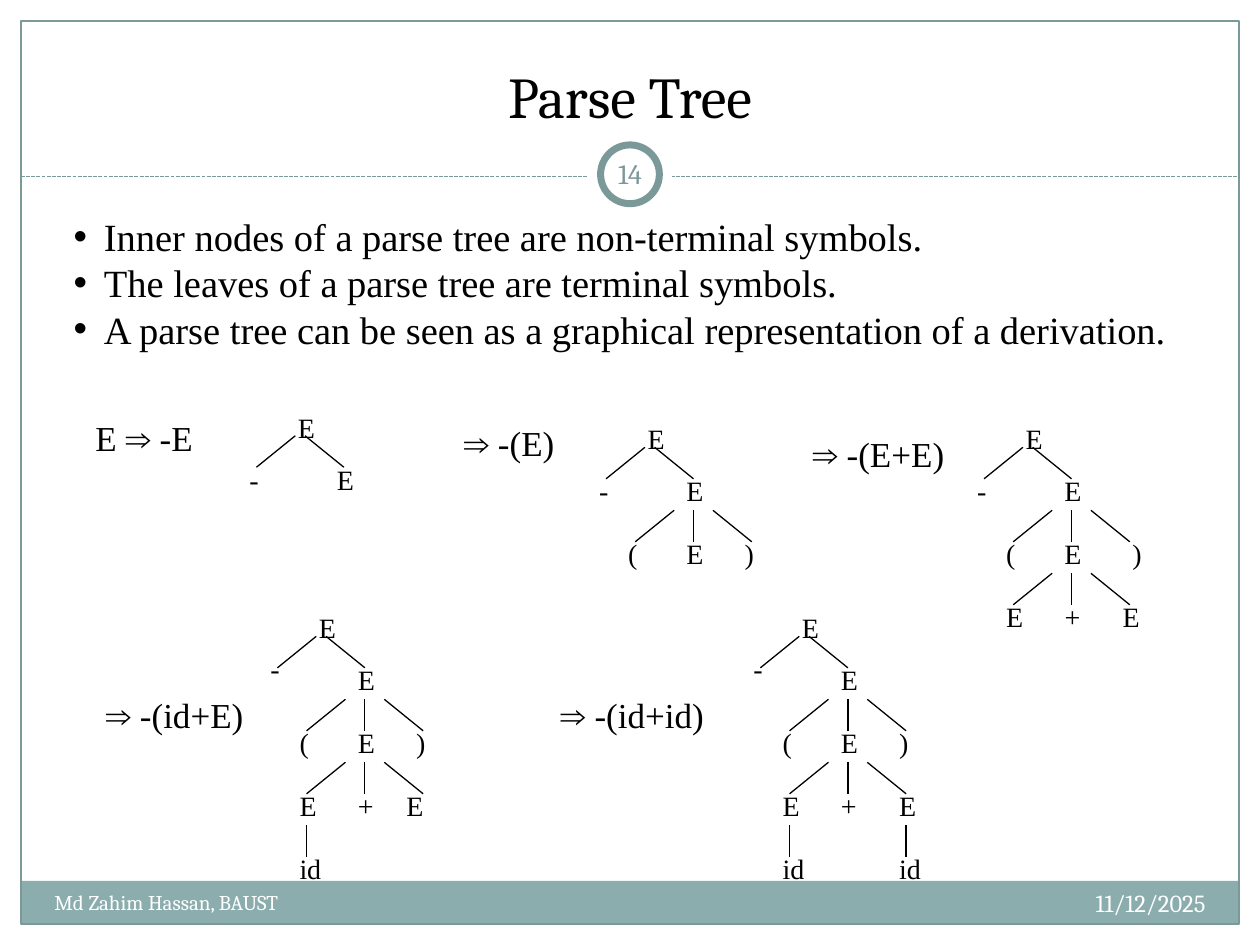
from dataclasses import dataclass

from lxml.etree import SubElement
from pptx import Presentation
from pptx.dml.color import RGBColor
from pptx.enum.dml import MSO_LINE
from pptx.enum.shapes import MSO_CONNECTOR, MSO_SHAPE
from pptx.enum.text import MSO_ANCHOR, MSO_AUTO_SIZE, PP_ALIGN
from pptx.oxml.ns import qn
from pptx.util import Inches, Pt


@dataclass(frozen=True)
class Theme:
    heading_font: str = "Cambria"
    body_font: str = "Times New Roman"
    ink: str = "000000"
    paper: str = "FFFFFF"
    accent: str = "7C999A"
    band: str = "8CADAE"
    title: int = 33
    bullet: int = 22
    label: int = 20
    node: int = 16
    number: int = 16
    date: int = 14
    footer: int = 12
    hairline: float = 0.75
    ring: float = 4


@dataclass(frozen=True)
class Box:
    left: float
    top: float
    width: float
    height: float

    def inner(self, left, top, width, height):
        return Box(self.left + left, self.top + top, width, height)


THEME = Theme()
COLUMNS, ROWS = 120, 90
TREE_COLUMN, TREE_ROW = 3.7, 3
LEVEL_TOP = 1.65
NODE_WIDTHS = {"E": 4.1, "+": 4, "id": 4.6}


def grid(units):
    return Inches(units / 12)


def color(name):
    return RGBColor.from_string(name)


def place(shape, box):
    shape.left, shape.top = grid(box.left), grid(box.top)
    shape.width, shape.height = grid(box.width), grid(box.height)


def write(shape, lines, *, size, font=THEME.body_font, ink=THEME.ink,
          align=PP_ALIGN.LEFT, anchor=MSO_ANCHOR.TOP, wrap=True, inset=None, hanging=0):
    frame = shape.text_frame
    frame.word_wrap = wrap
    frame.auto_size = MSO_AUTO_SIZE.NONE if wrap else MSO_AUTO_SIZE.SHAPE_TO_FIT_TEXT
    frame.vertical_anchor = anchor
    if inset is not None:
        frame.margin_left = frame.margin_right = grid(inset)
        frame.margin_top = frame.margin_bottom = grid(inset)
    for index, line in enumerate(lines):
        paragraph = frame.paragraphs[0] if index == 0 else frame.add_paragraph()
        paragraph.alignment = align
        paragraph.space_before = Pt(0)
        if hanging:
            properties = paragraph._p.get_or_add_pPr()
            properties.set("marL", str(grid(hanging)))
            properties.set("indent", str(-grid(hanging)))
        run = paragraph.add_run()
        run.text = line
        run.font.size, run.font.name = Pt(size), font
        run.font.color.rgb = color(ink)


def add_text(shapes, box, text, **style):
    shape = shapes.add_textbox(0, 0, 0, 0)
    place(shape, box)
    write(shape, [text], **style)


def fill_placeholder(shape, box, lines, **style):
    shape.element.getparent().append(shape.element)
    place(shape, box)
    write(shape, lines, **style)


def add_panel(shapes, box, kind=MSO_SHAPE.RECTANGLE, fill=None, line=None,
              weight=THEME.hairline):
    shape = shapes.add_shape(kind, 0, 0, 0, 0)
    place(shape, box)
    shape.shadow.inherit = False
    if fill:
        shape.fill.solid()
        shape.fill.fore_color.rgb = color(fill)
    else:
        shape.fill.background()
    if line:
        shape.line.color.rgb = color(line)
        shape.line.width = Pt(weight)
    else:
        shape.line.fill.background()


def add_line(shapes, start, end, ink=THEME.ink, dash=None):
    connector = shapes.add_connector(
        MSO_CONNECTOR.STRAIGHT, *(grid(value) for value in (*start, *end)))
    connector.line.color.rgb = color(ink)
    connector.line.width = Pt(THEME.hairline)
    if dash:
        connector.line.dash_style = dash
    SubElement(connector.element.spPr, qn("a:effectLst"))


def add_backdrop(shapes, box):
    margin = 2
    right = box.width - margin
    for edge in ((0, 0, box.width, 18.2), (0, 0, margin, box.height),
                 (right, 0, margin, box.height)):
        add_panel(shapes, box.inner(*edge), fill=THEME.paper)
    add_panel(shapes, box.inner(margin, 83.9, right - margin, 4.1), fill=THEME.band)
    add_panel(shapes, box.inner(margin, margin, right - margin, box.height - 2 * margin),
              line=THEME.accent)
    rule = box.top + 16.8
    add_line(shapes, (box.left + margin, rule), (box.left + right, rule),
             ink=THEME.accent, dash=MSO_LINE.SQUARE_DOT)


def add_number_badge(shapes, box, number):
    add_panel(shapes, box, MSO_SHAPE.OVAL, fill=THEME.paper)
    add_panel(shapes, box.inner(1.2, 1.2, 5.6, 5.6), MSO_SHAPE.OVAL,
              fill=THEME.paper, line=THEME.accent, weight=THEME.ring)
    add_text(shapes, box.inner(1, 1, 6, 5.8), number, size=THEME.number,
             font=THEME.heading_font, ink=THEME.accent, align=PP_ALIGN.CENTER,
             anchor=MSO_ANCHOR.MIDDLE, inset=0.6)


def add_footer(shapes, box, author, date):
    style = dict(font=THEME.heading_font, ink=THEME.paper)
    add_text(shapes, box.inner(72, 0, 40, 4.8), date, size=THEME.date,
             align=PP_ALIGN.RIGHT, **style)
    add_text(shapes, box.inner(0, 0.1, 47, 4.8), author, size=THEME.footer, **style)


def add_tree(shapes, box, levels=(), leaves=(), minus_top=LEVEL_TOP):
    tree = shapes.add_group_shape().shapes

    def node(column, row, text):
        node_box = box.inner(column * TREE_COLUMN, row * TREE_ROW,
                             NODE_WIDTHS.get(text, 3.4), box.height)
        add_text(tree, node_box, text, size=THEME.node, wrap=False)

    def branch(start, end, row):
        add_line(tree, *((box.left + column * TREE_COLUMN, box.top + y * TREE_ROW)
                         for column, y in ((start, row), (end, row + 1))))

    branch(0.25, -0.75, 1)
    branch(0.5, 1.5, 1)
    node(0, 0, "E")
    node(-1.25, minus_top, "-")
    node(1, LEVEL_TOP, "E")
    for depth, (symbols, last_shift) in enumerate(levels, 1):
        for step, symbol in zip((-1, 0, 1), symbols):
            branch(1.5 + step / 2, 1.5 + step * 1.5, 2 * depth + 1)
            shift = last_shift if step == 1 else 0
            node(1 + step * 1.5 + shift, LEVEL_TOP + 2 * depth, symbol)
    for column, leaf in zip((0, 3), leaves):
        row = 2 * len(levels) + 3
        branch(column, column, row)
        node(column - 0.5, row + LEVEL_TOP - 1, leaf)


def add_derivation(shapes, box):
    labels = (
        (7.9, 39.1, 13.6, "E ⇒ -E"),
        (43, 39.6, 12, "⇒ -(E)"),
        (76.2, 40.6, 16, "⇒ -(E+E)"),
        (8.9, 65.5, 16.6, "⇒ -(id+E)"),
        (52.2, 65.5, 17, "⇒ -(id+id)"),
    )
    for left, top, width, text in labels:
        add_text(shapes, box.inner(left, top, width, 5.3), text,
                 size=THEME.label, wrap=False)
    brackets, total = ("(", "E", ")"), ("E", "+", "E")
    trees = (
        (27.2, 38.5, {}),
        (60.5, 39.6, dict(levels=[(brackets, 0)])),
        (96.5, 39.6, dict(levels=[(brackets, 0.25), (total, 0)])),
        (29.2, 57.6, dict(levels=[(brackets, 0), (total, -0.25)],
                          leaves=["id"], minus_top=1.3)),
        (75.2, 57.6, dict(levels=[(brackets, 0), (total, 0)],
                          leaves=["id", "id"], minus_top=1.3)),
    )
    for left, top, branches in trees:
        add_tree(shapes, box.inner(left, top, 4.1, 4.4), **branches)


def main():
    presentation = Presentation()
    presentation.slide_width, presentation.slide_height = grid(COLUMNS), grid(ROWS)
    slide = presentation.slides.add_slide(presentation.slide_layouts[1])
    shapes, page = slide.shapes, Box(0, 0, COLUMNS, ROWS)
    title, body = shapes.title, slide.placeholders[1]
    add_backdrop(shapes, page)
    add_number_badge(shapes, page.inner(56, 12.6, 8, 8), "14")
    fill_placeholder(title, page.inner(4, 3, 112, 10), ["Parse Tree"], size=THEME.title,
                     font=THEME.heading_font, align=PP_ALIGN.CENTER,
                     anchor=MSO_ANCHOR.BOTTOM)
    add_footer(shapes, page.inner(4, 84, 112, 5), "Md Zahim Hassan, BAUST", "11/12/2025")
    fill_placeholder(body, page.inner(5.8, 19.7, 107.6, 14.5), [
        "Inner nodes of a parse tree are non-terminal symbols.",
        "The leaves of a parse tree are terminal symbols.",
        "A parse tree can be seen as a graphical representation of a derivation.",
    ], size=THEME.bullet, hanging=2.9)
    add_derivation(shapes, page)
    presentation.save("out.pptx")


if __name__ == "__main__":
    main()
